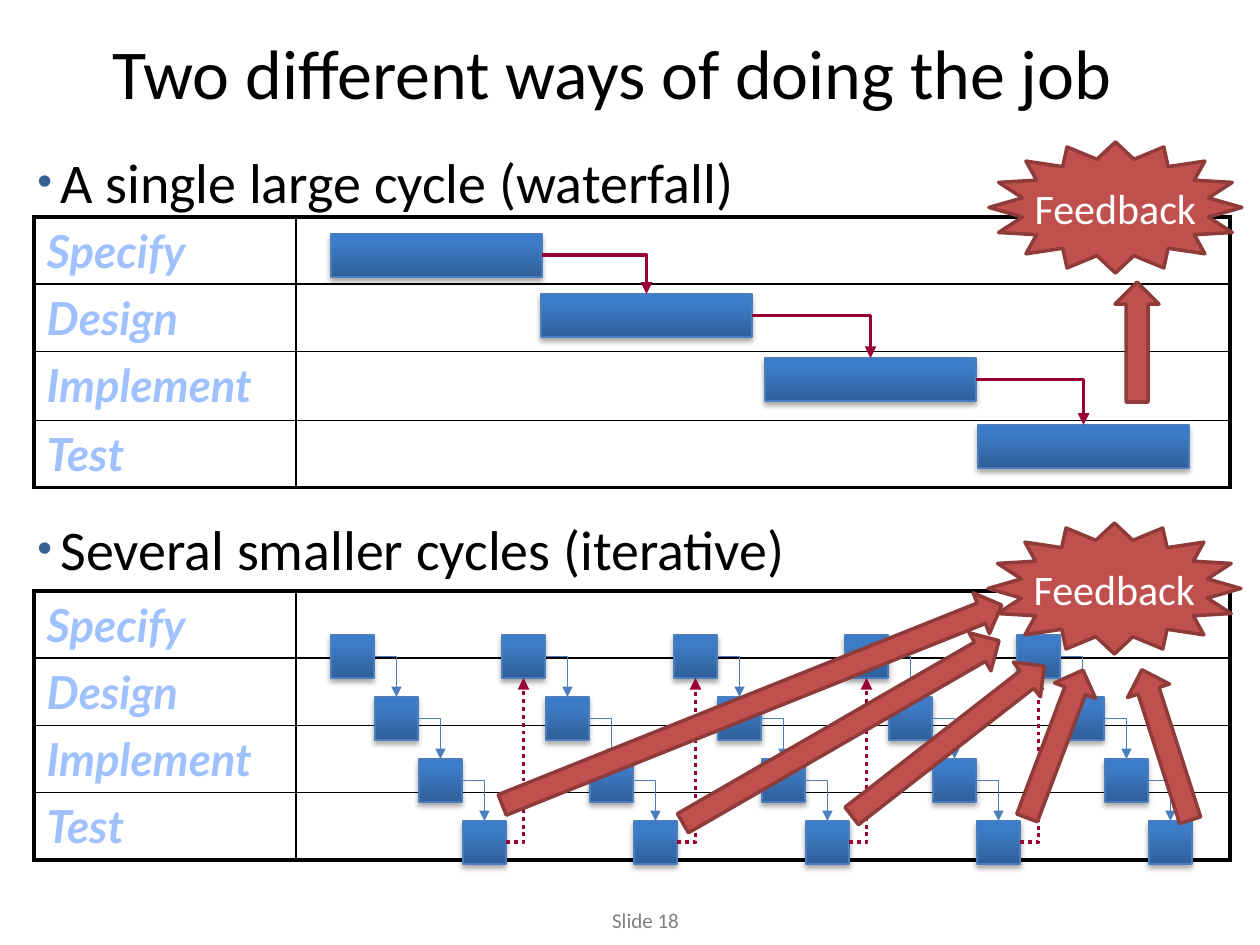
from lxml.etree import SubElement
from pptx import Presentation
from pptx.dml.color import RGBColor
from pptx.enum.dml import MSO_LINE
from pptx.enum.shapes import MSO_CONNECTOR, MSO_SHAPE
from pptx.enum.text import MSO_ANCHOR, PP_ALIGN
from pptx.oxml import parse_xml
from pptx.oxml.ns import nsdecls, qn
from pptx.util import Pt

PIXEL = 914400 // 126
BLUE, CRIMSON, RED, DARK_RED = "4B7EBC", "990033", "C0504D", "8E3B39"

TITLE = ("Two different ways of doing the job", (49, 37, 1126, 69), 40, "000000")
PAGE_NUMBER = ("Slide 18", (597, 901, 97, 38), 12, "808080")
HEADINGS = [("A single large cycle (waterfall)", 141), ("Several smaller cycles (iterative)", 508)]
PHASES = ["Specify", "Design", "Implement", "Test"]
TABLES = [(34, 217, (67, 67, 69, 67)), (34, 591, (67, 67, 67, 67))]
COLUMNS = (262, 934)

WATERFALL = [(331, 234), (541, 294), (765, 358), (978, 425)]
STAGE_SIZE = (211, 43)
CYCLES, CYCLE_PITCH = 5, 171.4
CYCLE_LEFT, CYCLE_TOP, STEP_X, STEP_Y, SQUARE = 331, 635, 44, 62, 43

WATERFALL_FEEDBACK = ("Feedback", (989, 142, 253, 131))
ITERATIVE_FEEDBACK = ("Feedback", (988, 523, 253, 131))
ARROW_WIDTH = 44
ARROWS = [
    (1137, 342, 120, 180),
    (752, 705, 538, 248.2),
    (841, 732, 365, 240),
    (948, 741, 244, 232.1),
    (1055, 744, 158, 200.7),
    (1166, 745, 158, 162.2),
]

GRADIENT = (
    f'<a:gradFill {nsdecls("a")} rotWithShape="1"><a:gsLst>'
    '<a:gs pos="0"><a:srgbClr val="2F5F99"/></a:gs>'
    '<a:gs pos="80000"><a:srgbClr val="3D7CC7"/></a:gs>'
    '<a:gs pos="100000"><a:srgbClr val="3A7CCB"/></a:gs>'
    '</a:gsLst><a:lin ang="16200000" scaled="0"/></a:gradFill>'
)
SHADOW = (
    f'<a:effectLst {nsdecls("a")}><a:outerShdw blurRad="39370" dist="22860" dir="5400000" '
    'rotWithShape="0"><a:srgbClr val="000000"><a:alpha val="35000"/></a:srgbClr>'
    '</a:outerShdw></a:effectLst>'
)


def px(*values):
    return [round(value * PIXEL) for value in values]


def color(value):
    return RGBColor.from_string(value)


def add_span(para, text, size, hue, font="Calibri"):
    span = para.add_run()
    span.text = text
    span.font.name = font
    span.font.size = Pt(size)
    span.font.color.rgb = color(hue)
    return span


def add_text(text, area, size, hue, align=PP_ALIGN.CENTER):
    box = page.shapes.add_textbox(*px(*area))
    box.text_frame.word_wrap = True
    box.text_frame.vertical_anchor = MSO_ANCHOR.MIDDLE
    para = box.text_frame.paragraphs[0]
    para.alignment = align
    add_span(para, text, size, hue)
    return para


def add_heading(text, top):
    para = add_text(text, (25, top, 872, 81), 32, "000000", PP_ALIGN.LEFT)
    properties = para._p.get_or_add_pPr()
    indent = px(23)[0]
    properties.set("marL", str(indent))
    properties.set("indent", str(-indent))
    SubElement(SubElement(properties, qn("a:buClr")), qn("a:srgbClr"), val="376092")
    SubElement(properties, qn("a:buSzPct"), val="75000")
    SubElement(properties, qn("a:buFont"), typeface="Arial")
    SubElement(properties, qn("a:buChar"), char="•")


def set_borders(cell, outer):
    for index, side in enumerate("LRTB"):
        width = 28575 if side in outer else 12700
        cell._tc.get_or_add_tcPr().insert(index, parse_xml(
            f'<a:ln{side} {nsdecls("a")} w="{width}"><a:solidFill>'
            f'<a:srgbClr val="000000"/></a:solidFill></a:ln{side}>'))


def add_phase_table(left, top, heights):
    frame = page.shapes.add_table(len(PHASES), 2, *px(left, top, sum(COLUMNS), sum(heights)))
    table = frame.table
    table.first_row = table.horz_banding = False
    for column, width in zip(table.columns, px(*COLUMNS)):
        column.width = width
    for index, (phase, height) in enumerate(zip(PHASES, px(*heights))):
        table.rows[index].height = height
        edge = {0: "T", len(PHASES) - 1: "B"}.get(index, "")
        for side, cell in zip("LR", table.rows[index].cells):
            cell.fill.background()
            set_borders(cell, side + edge)
        span = add_span(table.cell(index, 0).text_frame.paragraphs[0], phase, 26, "A0C1FF", "Lato")
        span.font.bold = span.font.italic = True


def add_stage(shapes, left, top, width, height):
    stage = shapes.add_shape(MSO_SHAPE.RECTANGLE, *px(left, top, width, height))
    stage.line.color.rgb = color(BLUE)
    stage.line.width = Pt(0.75)
    properties = stage._element.spPr
    properties.insert(2, parse_xml(GRADIENT))
    properties.append(parse_xml(SHADOW))


def add_bend(shapes, start, end, hue, width, dash=None):
    bend = shapes.add_connector(MSO_CONNECTOR.ELBOW, *px(*start, *end))
    bend.line.color.rgb = color(hue)
    bend.line.width = Pt(width)
    if dash:
        bend.line.dash_style = dash
    properties = bend._element.spPr
    properties.find(qn("a:prstGeom")).set("prst", "bentConnector2")
    SubElement(properties.find(qn("a:ln")), qn("a:tailEnd"), type="triangle")
    SubElement(properties, qn("a:effectLst"))


def add_stairs(shapes, corners, size, hue, weight):
    width, height = size
    for left, top in corners:
        add_stage(shapes, left, top, width, height)
    for (left, top), (next_left, next_top) in zip(corners, corners[1:]):
        add_bend(shapes, (left + width, top + height / 2),
                 (next_left + width / 2, next_top), hue, weight)


def add_red_shape(kind, area):
    shape = page.shapes.add_shape(kind, *px(*area))
    shape.shadow.inherit = False
    shape.fill.solid()
    shape.fill.fore_color.rgb = color(RED)
    shape.line.color.rgb = color(DARK_RED)
    shape.line.width = Pt(2)
    return shape


def add_feedback(text, area):
    star = add_red_shape(MSO_SHAPE.STAR_16_POINT, area)
    star.adjustments[0] = 0.375
    star.text_frame.word_wrap = False
    star.text_frame.vertical_anchor = MSO_ANCHOR.MIDDLE
    para = star.text_frame.paragraphs[0]
    para.alignment = PP_ALIGN.CENTER
    add_span(para, text, 24, "FFFFFF")


deck = Presentation()
deck.slide_width, deck.slide_height = px(1260, 945)
page = deck.slides.add_slide(deck.slide_layouts[6])

for label in (PAGE_NUMBER, TITLE):
    add_text(*label)
for table_place in TABLES:
    add_phase_table(*table_place)

add_stairs(page.shapes, WATERFALL, STAGE_SIZE, CRIMSON, 2.25)

cycle_lefts = [CYCLE_LEFT + round(index * CYCLE_PITCH) for index in range(CYCLES)]
for cycle_left in cycle_lefts:
    corners = [(cycle_left + step * STEP_X, CYCLE_TOP + step * STEP_Y) for step in range(len(PHASES))]
    add_stairs(page.shapes.add_group_shape().shapes, corners, (SQUARE, SQUARE), BLUE, 0.75)

last = len(PHASES) - 1
for cycle_left, next_left in zip(cycle_lefts, cycle_lefts[1:]):
    add_bend(page.shapes,
             (cycle_left + last * STEP_X + SQUARE, CYCLE_TOP + last * STEP_Y + SQUARE / 2),
             (next_left + SQUARE / 2, CYCLE_TOP + SQUARE), CRIMSON, 2.25, MSO_LINE.ROUND_DOT)

for heading in HEADINGS:
    add_heading(*heading)

add_feedback(*WATERFALL_FEEDBACK)
for center_x, center_y, length, angle in ARROWS:
    arrow = add_red_shape(MSO_SHAPE.DOWN_ARROW, (
        center_x - ARROW_WIDTH / 2, center_y - length / 2, ARROW_WIDTH, length))
    arrow.rotation = angle
add_feedback(*ITERATIVE_FEEDBACK)

deck.save("out.pptx")
